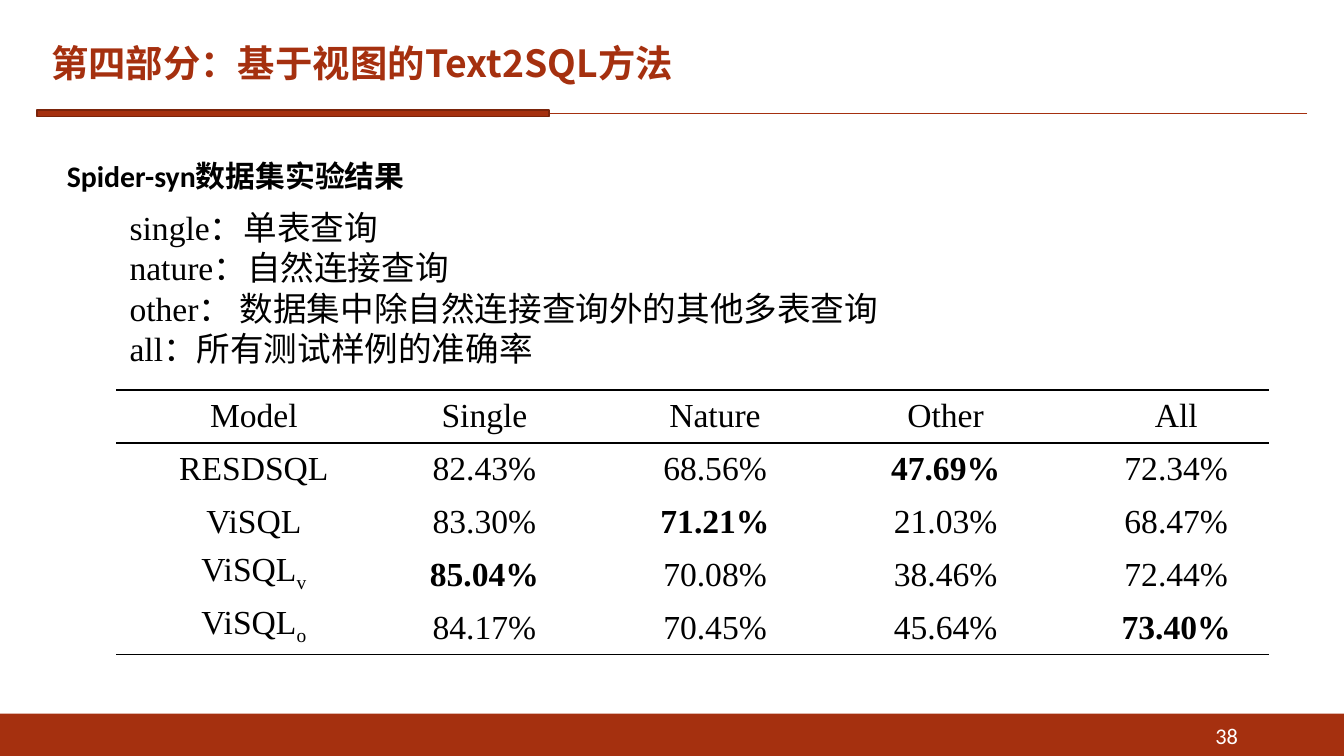
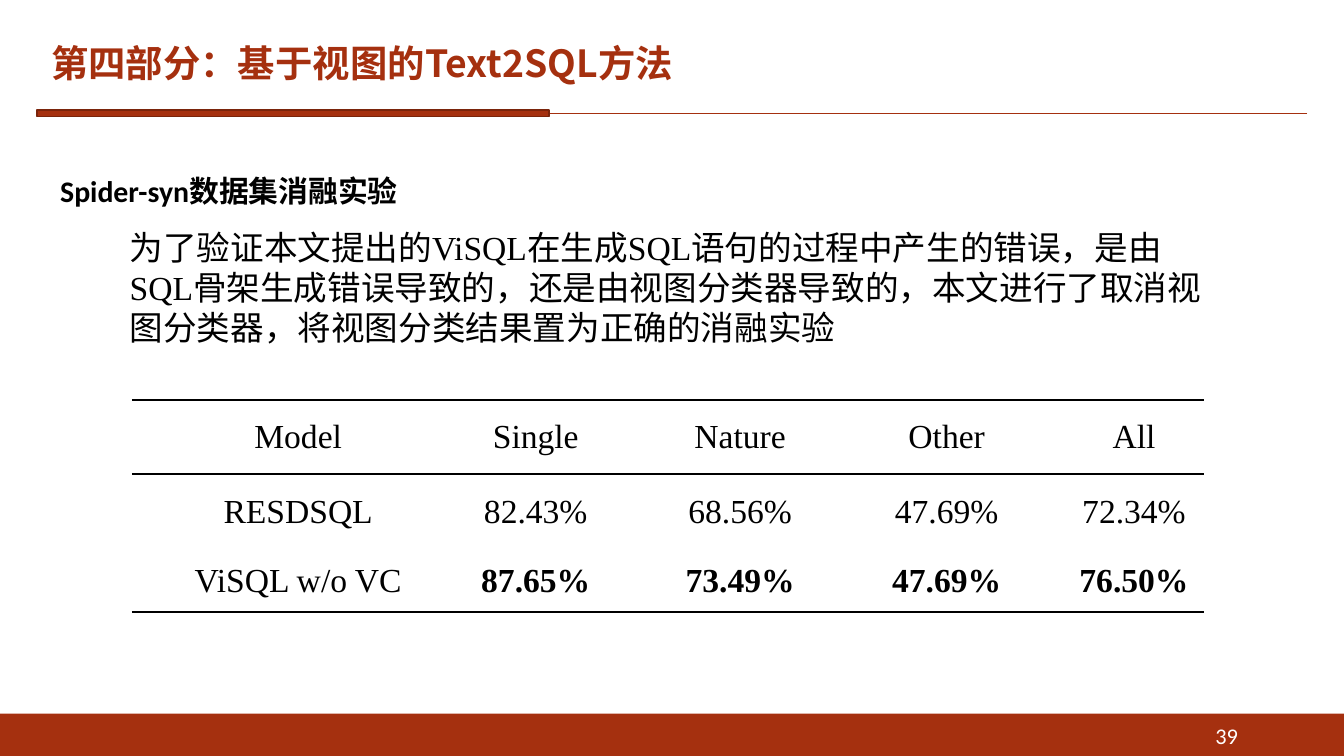
from lxml import etree
from pptx import Presentation
from pptx import util as u
from pptx.dml import color
from pptx.enum import shapes, text
from pptx.oxml import ns

COLUMNS, ROWS = 100, 56.25
CELL = u.Inches(0.1)
RED, DARK_RED, BLACK, WHITE = "A5300F", "7A240B", "000000", "FFFFFF"
CJK, SANS, SERIF = "Noto Sans CJK SC", "Calibri", "Times New Roman"
TITLE = "第四部分：基于视图的Text2SQL方法"
HEADER = ["Model", "Single", "Nature", "Other", "All"]


def rgb(value):
    return color.RGBColor.from_string(value)


def grid(count):
    return u.Emu(round(CELL * count))


def area(*counts):
    return [grid(count) for count in counts]


class SlideBuilder:
    def __init__(self, deck):
        self.deck = deck
        self.page = None

    def start(self, number):
        self.page = self.deck.slides.add_slide(self.deck.slide_layouts[5])
        self.band(0, 53.1, COLUMNS, ROWS - 53.1)
        self.rule(2.75, 97.25, 8.43)
        self.band(2.75, 8.17, 38.1, 0.5, DARK_RED)
        self.title()
        self.text([number], (70.6, 53.2, 22.5, 3), 12, SANS, WHITE,
                  align=text.PP_ALIGN.RIGHT, anchor=text.MSO_ANCHOR.MIDDLE)

    def band(self, left, top, width, height, outline=None):
        band = self.page.shapes.add_shape(
            shapes.MSO_SHAPE.RECTANGLE, *area(left, top, width, height))
        band.shadow.inherit = False
        band.fill.solid()
        band.fill.fore_color.rgb = rgb(RED)
        if outline:
            band.line.color.rgb = rgb(outline)
            band.line.width = u.Pt(1)
        else:
            band.line.fill.background()

    def rule(self, left, right, top):
        rule = self.page.shapes.add_connector(
            shapes.MSO_CONNECTOR.STRAIGHT, *area(right, top, left, top))
        rule.line.color.rgb = rgb(RED)
        rule.line.width = u.Pt(0.5)
        etree.SubElement(rule._element.spPr, ns.qn("a:effectLst"))

    def format(self, para, size, font, ink, bold=False, align=None, spacing=None):
        para.font.size = u.Pt(size)
        para.font.name = font
        para.font.color.rgb = rgb(ink)
        para.font.bold = bold
        para.alignment = align or text.PP_ALIGN.LEFT
        if spacing:
            para.line_spacing = spacing
        defaults = para._p.pPr.find(ns.qn("a:defRPr"))
        etree.SubElement(defaults, ns.qn("a:ea"), typeface=CJK)

    def title(self):
        title = self.page.shapes.title
        title.left, title.top, title.width, title.height = area(2.8, 1.7, 65.7, 6.3)
        frame = title.text_frame
        frame.text = TITLE
        frame.auto_size = text.MSO_AUTO_SIZE.NONE
        frame.vertical_anchor = text.MSO_ANCHOR.MIDDLE
        self.format(frame.paragraphs[0], 20, CJK, RED, bold=True, spacing=0.9)

    def text(self, lines, place, size, font, ink=BLACK, bold=False, align=None,
             spacing=None, anchor=text.MSO_ANCHOR.TOP):
        box = self.page.shapes.add_textbox(*area(*place))
        frame = box.text_frame
        frame.word_wrap = True
        frame.vertical_anchor = anchor
        if anchor == text.MSO_ANCHOR.TOP:
            frame.auto_size = text.MSO_AUTO_SIZE.SHAPE_TO_FIT_TEXT
        frame.text = "\n".join(lines)
        for para in frame.paragraphs:
            self.format(para, size, font, ink, bold, align, spacing)

    def heading(self, words, left, top):
        self.text([words], (left, top, 49.3, 4.6), 16, SANS, bold=True, spacing=1.5)

    def body(self, lines, top, width, height):
        self.text(lines, (8.66, top, width, height), 18, SERIF)

    def table(self, records, left, top, widths, heights):
        table = self.page.shapes.add_table(
            len(records), len(widths),
            *area(left, top, sum(widths), sum(heights))).table
        table.first_row = table.horz_banding = False
        for column, width in zip(table.columns, widths):
            column.width = grid(width)
        for row, height in zip(table.rows, heights):
            row.height = grid(height)
        last = len(records) - 1
        for index, record in enumerate(records):
            edges = {"lnT": index < 2, "lnB": index in (0, last)}
            for cell, words in zip(table.rows[index].cells, record):
                self.cell(cell, words, edges)

    def cell(self, cell, words, edges):
        cell.fill.background()
        cell.vertical_anchor = text.MSO_ANCHOR.MIDDLE
        cell.margin_left = cell.margin_right = grid(0.7)
        cell.margin_top = cell.margin_bottom = 0
        para = cell.text_frame.paragraphs[0]
        base, _, subscript = words.lstrip("*").partition("_")
        para.add_run().text = base
        if subscript:
            span = para.add_run()
            span.text = subscript
            span._r.get_or_add_rPr().set("baseline", "-25000")
        self.format(para, 18, SERIF, BLACK, words.startswith("*"),
                    text.PP_ALIGN.CENTER, u.Pt(20))
        para._p.pPr.set("marL", "0")
        para._p.pPr.set("indent", str(grid(3.3)))
        self.borders(cell, edges)

    def borders(self, cell, edges):
        properties = cell._tc.get_or_add_tcPr()
        for position, edge in enumerate(("lnL", "lnR", "lnT", "lnB")):
            line = etree.Element(ns.qn("a:" + edge), w=str(u.Pt(1)))
            if edges.get(edge):
                fill = etree.SubElement(line, ns.qn("a:solidFill"))
                etree.SubElement(fill, ns.qn("a:srgbClr"), val=BLACK)
            else:
                etree.SubElement(line, ns.qn("a:noFill"))
            properties.insert(position, line)


def results(builder):
    builder.start("38")
    builder.heading("Spider-syn数据集实验结果", 4, 9.9)
    builder.body([
        "single：单表查询",
        "nature：自然连接查询",
        "other： 数据集中除自然连接查询外的其他多表查询",
        "all：所有测试样例的准确率",
    ], 14.9, 65.7, 13.1)
    builder.table([
        HEADER,
        ["RESDSQL", "82.43%", "68.56%", "*47.69%", "72.34%"],
        ["ViSQL", "83.30%", "*71.21%", "21.03%", "68.47%"],
        ["ViSQL_v", "*85.04%", "70.08%", "38.46%", "72.44%"],
        ["ViSQL_o", "84.17%", "70.45%", "45.64%", "*73.40%"],
    ], 8.66, 29.02, [17.16] * 5, [3.94] * 5)


def ablation(builder):
    builder.start("39")
    builder.heading("Spider-syn数据集消融实验", 3.5, 11.05)
    builder.body([
        "为了验证本文提出的ViSQL在生成SQL语句的过程中产生的错误，"
        "是由SQL骨架生成错误导致的，还是由视图分类器导致的，"
        "本文进行了取消视图分类器，将视图分类结果置为正确的消融实验",
    ], 16.36, 82.1, 10.1)
    builder.table([
        HEADER,
        ["RESDSQL", "82.43%", "68.56%", "47.69%", "72.34%"],
        ["ViSQL w/o VC", "*87.65%", "*73.49%", "*47.69%", "*76.50%"],
    ], 9.82, 29.77, [21.44, 13.92, 16.5, 14.24, 13.64], [5.5, 5.7, 4.55])


def main():
    deck = Presentation()
    deck.slide_width = grid(COLUMNS)
    deck.slide_height = grid(ROWS)
    builder = SlideBuilder(deck)
    results(builder)
    ablation(builder)
    deck.save("out.pptx")


if __name__ == "__main__":
    main()
